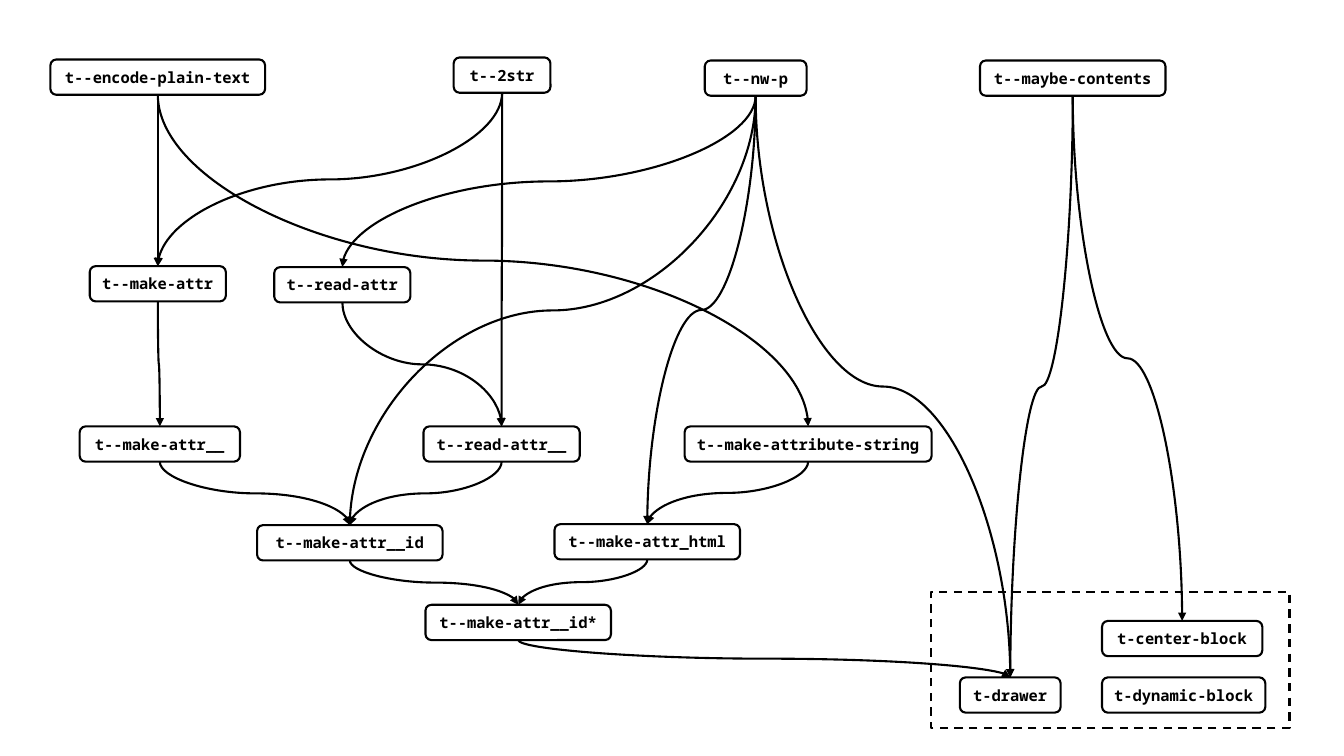
from lxml import etree
from pptx import Presentation
from pptx.dml.color import RGBColor
from pptx.enum.dml import MSO_LINE
from pptx.enum.shapes import MSO_CONNECTOR, MSO_SHAPE
from pptx.enum.text import MSO_ANCHOR, PP_ALIGN
from pptx.oxml.ns import qn
from pptx.util import Inches, Pt

CURVE = MSO_CONNECTOR.CURVE
RECTANGLE = MSO_SHAPE.RECTANGLE
ROUNDED = MSO_SHAPE.ROUNDED_RECTANGLE
DASH = MSO_LINE.DASH
MIDDLE = MSO_ANCHOR.MIDDLE
CENTER = PP_ALIGN.CENTER

COLORS = {"paper": "FFFFFF", "ink": "000000"}
FONT = "Noto Sans Mono"
FONT_SIZE = Pt(11)
LINE_WIDTH = Pt(1.5)
NODE_HEIGHT = 0.35
TOP_SITE, BOTTOM_SITE = 0, 2

HELPERS_BOX = (0.5, 0.57)
BLOCKS_BOX = (9.23, 5.87, 3.56, 1.35)

HELPERS = {
    "t--encode-plain-text": (0, 0.02, 2.13),
    "t--2str": (4, 0, 0.96),
    "t--nw-p": (6.49, 0.03, 1.01),
    "t--maybe-contents": (9.22, 0.03, 1.84),
    "t--make-attr": (0.39, 2.07, 1.35),
    "t--read-attr": (2.22, 2.08, 1.35),
    "t--make-attr__": (0.29, 3.66, 1.59),
    "t--read-attr__": (3.7, 3.66, 1.55),
    "t--make-attribute-string": (6.29, 3.66, 2.45),
    "t--make-attr__id": (2.05, 4.64, 1.84),
    "t--make-attr_html": (5, 4.63, 1.84),
    "t--make-attr__id*": (3.72, 5.43, 1.84),
}

BLOCKS = {
    "t-center-block": (1.7, 0.29, 1.59),
    "t-drawer": (0.29, 0.85, 1),
    "t-dynamic-block": (1.7, 0.85, 1.62),
}

USED_BY = {
    "t--maybe-contents": ["t-center-block", "t-drawer"],
    "t--nw-p": ["t--read-attr", "t--make-attr__id", "t--make-attr_html", "t-drawer"],
    "t--2str": ["t--read-attr__", "t--make-attr"],
    "t--read-attr": ["t--read-attr__"],
    "t--read-attr__": ["t--make-attr__id"],
    "t--encode-plain-text": ["t--make-attr", "t--make-attribute-string"],
    "t--make-attr": ["t--make-attr__"],
    "t--make-attr__": ["t--make-attr__id"],
    "t--make-attr__id": ["t--make-attr__id*"],
    "t--make-attribute-string": ["t--make-attr_html"],
    "t--make-attr_html": ["t--make-attr__id*"],
    "t--make-attr__id*": ["t-drawer"],
}


def color(name):
    """Return the named colour."""
    return RGBColor.from_string(COLORS[name])


def add_outlined(slide, preset, left, top, width, height):
    """Add a paper-filled shape with an ink outline."""
    shape = slide.shapes.add_shape(
        preset, Inches(left), Inches(top), Inches(width), Inches(height)
    )
    shape.shadow.inherit = False
    shape.fill.solid()
    shape.fill.fore_color.rgb = color("paper")
    shape.line.color.rgb = color("ink")
    shape.line.width = LINE_WIDTH
    return shape


def add_node(slide, name, left, top, width):
    """Add one labelled function node."""
    shape = add_outlined(slide, ROUNDED, left, top, width, NODE_HEIGHT)
    frame = shape.text_frame
    frame.margin_left = frame.margin_right = 0
    frame.margin_top = frame.margin_bottom = 0
    frame.word_wrap = False
    frame.vertical_anchor = MIDDLE
    paragraph = frame.paragraphs[0]
    paragraph.text = name
    paragraph.alignment = CENTER
    paragraph.font.name = FONT
    paragraph.font.size = FONT_SIZE
    paragraph.font.bold = True
    paragraph.font.color.rgb = color("ink")
    return shape


def add_nodes(slide, box, nodes):
    """Add nodes at offsets from the corner of a box and return them by name."""
    return {
        name: add_node(slide, name, box[0] + left, box[1] + top, width)
        for name, (left, top, width) in nodes.items()
    }


def add_blocks(slide, box):
    """Add the dashed frame and the block nodes inside it."""
    frame = add_outlined(slide, RECTANGLE, *box)
    frame.line.dash_style = DASH
    return add_nodes(slide, box, BLOCKS)


def add_arrow(slide, source, target):
    """Join the bottom of one node to the top of another with a curved arrow."""
    begin_x = source.left + source.width // 2
    begin_y = source.top + source.height
    end_x = target.left + target.width // 2
    end_y = target.top
    connector = slide.shapes.add_connector(CURVE, begin_x, begin_y, end_x, end_y)
    connector.begin_connect(source, BOTTOM_SITE)
    connector.end_connect(target, TOP_SITE)

    length, spread = end_y - begin_y, abs(end_x - begin_x)
    connector.left = (begin_x + end_x - length) // 2
    connector.top = (begin_y + end_y - spread) // 2
    connector.width, connector.height = length, spread
    properties = connector._element.spPr
    transform = properties.find(qn("a:xfrm"))
    rightward = end_x > begin_x
    transform.rot = 270 if rightward else 90
    transform.flipH = rightward
    transform.flipV = False

    connector.line.color.rgb = color("ink")
    connector.line.width = LINE_WIDTH
    line = properties.find(qn("a:ln"))
    etree.SubElement(line, qn("a:tailEnd"), type="triangle")
    etree.SubElement(properties, qn("a:effectLst"))


def build_graph(slide):
    """Build the dependency graph."""
    nodes = add_blocks(slide, BLOCKS_BOX)
    nodes.update(add_nodes(slide, HELPERS_BOX, HELPERS))
    for source, targets in USED_BY.items():
        for target in targets:
            add_arrow(slide, nodes[source], nodes[target])


def main():
    """Create and save the presentation."""
    presentation = Presentation()
    presentation.slide_width = Inches(13.33)
    presentation.slide_height = Inches(7.5)
    slide = presentation.slides.add_slide(presentation.slide_layouts[6])
    build_graph(slide)
    presentation.save("out.pptx")


if __name__ == "__main__":
    main()
